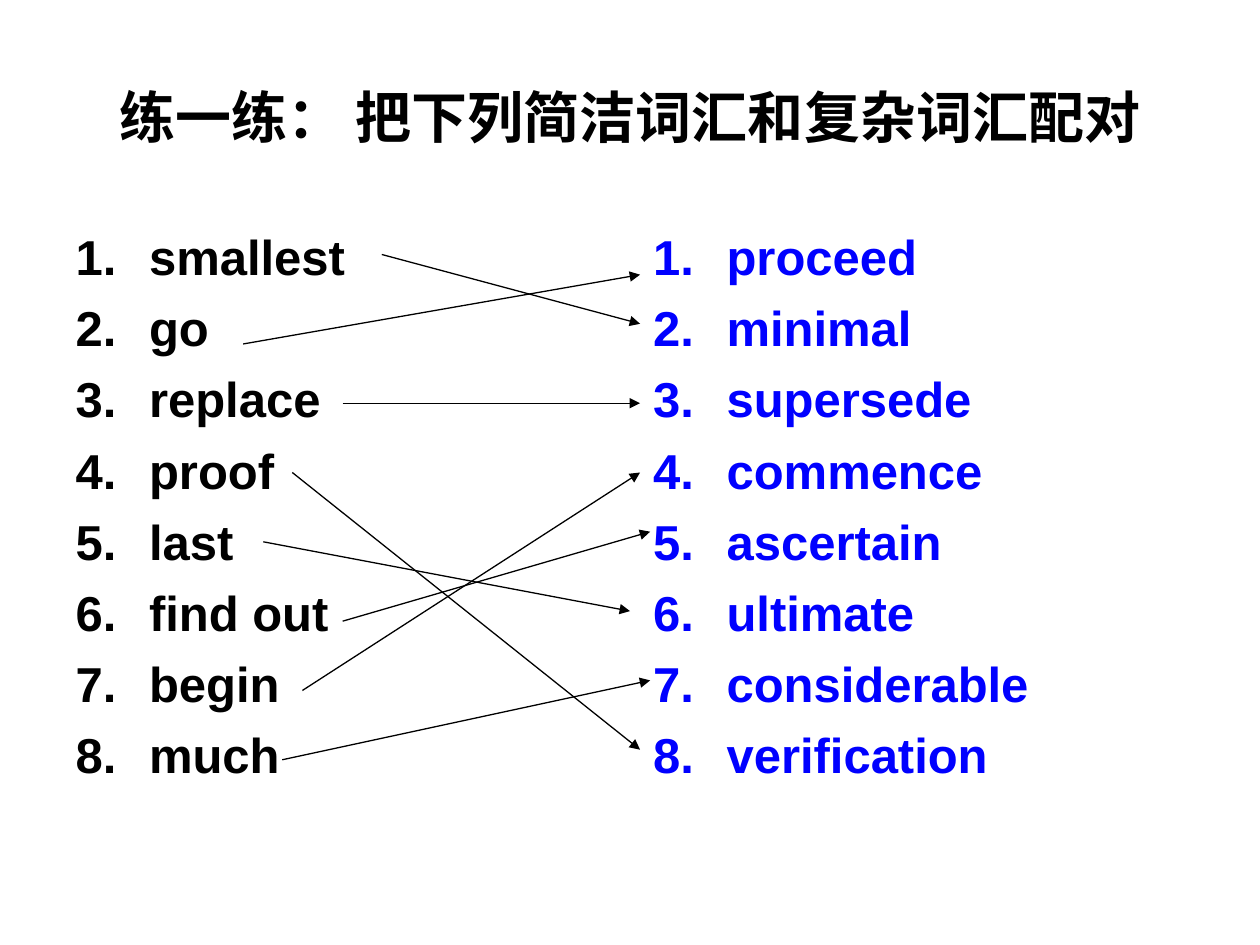
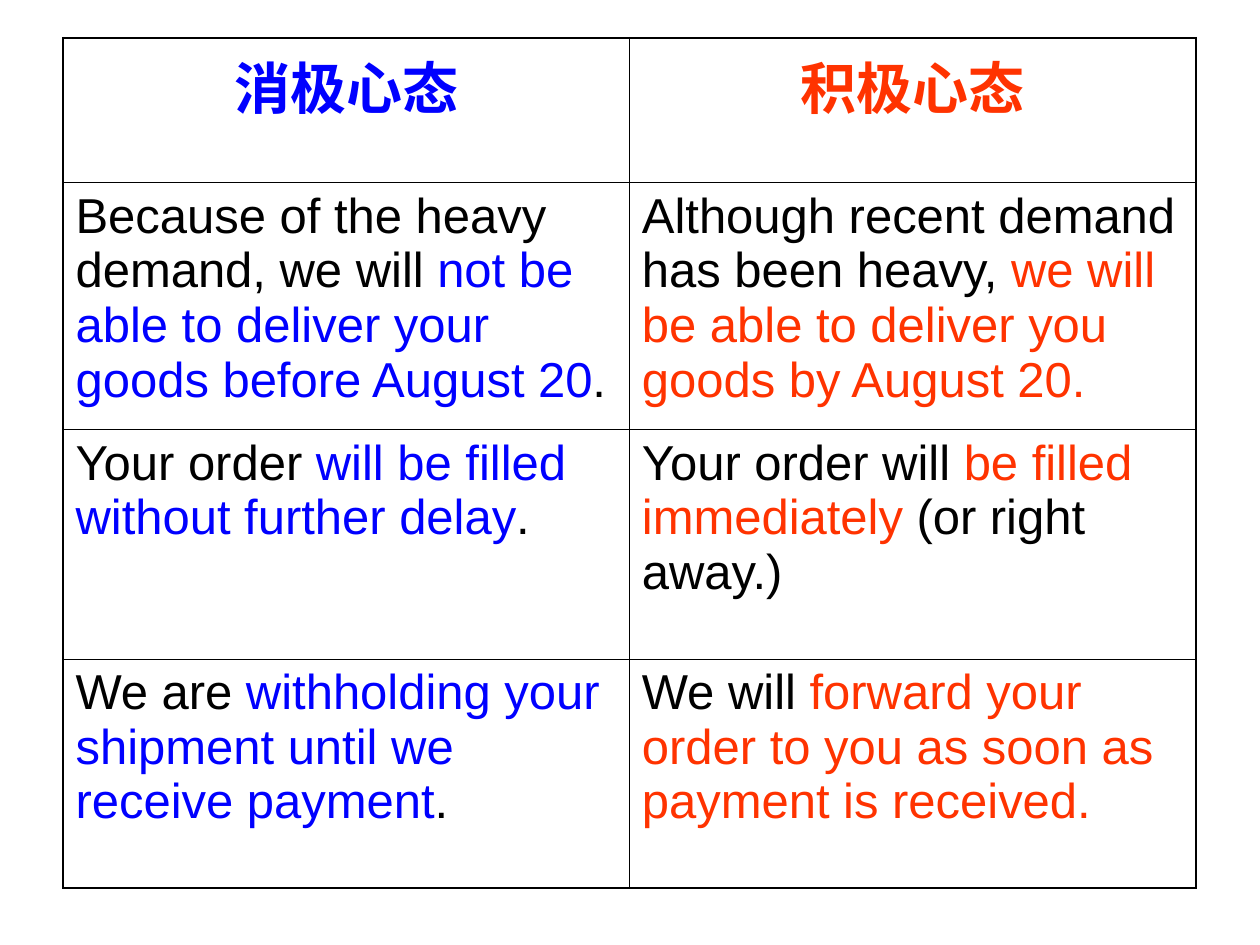
from dataclasses import dataclass

from lxml import etree
from pptx import Presentation
from pptx import util as u
from pptx.dml.color import RGBColor
from pptx.enum import text
from pptx.oxml.ns import qn


@dataclass(frozen=True)
class Theme:
    font: str = "Arial"
    black: RGBColor = RGBColor(0x00, 0x00, 0x00)
    blue: RGBColor = RGBColor(0x00, 0x00, 0xFF)
    red: RGBColor = RGBColor(0xFF, 0x33, 0x00)
    heading_size: int = 32
    text_size: int = 28
    arrow_width: float = 0.75
    inner_border: float = 0.45
    outer_border: float = 1.08


THEME = Theme()
TWO_CONTENT, BLANK = 3, 6
LEFT, TOP = 0.5, 0.3
RIGHT_LIST_LEFT = u.Pt(366).inches

SIMPLE_WORDS = ["smallest", "go", "replace", "proof",
                "last", "find out", "begin", "much"]
COMPLEX_WORDS = ["proceed", "minimal", "supersede", "commence",
                 "ascertain", "ultimate", "considerable", "verification"]

# Start and end of the arrow that leaves each simple word.
MATCHES = [
    ((3.03, 2.02), (5.08, 2.57)),
    ((1.93, 2.73), (5.08, 2.18)),
    ((2.72, 3.2), (5.08, 3.2)),
    ((2.32, 3.75), (5.08, 5.95)),
    ((2.09, 4.3), (5, 4.85)),
    ((2.72, 4.93), (5.16, 4.22)),
    ((2.4, 5.48), (5.08, 3.75)),
    ((2.24, 6.03), (5.16, 5.4)),
]

# Each sentence is (plain opening, highlighted part, plain ending).
HEADINGS = ["消极心态", "积极心态"]
SENTENCE_PAIRS = [
    [("Because of the heavy demand, we will ",
      "not be able to deliver your goods before August 20", "."),
     ("Although recent demand has been heavy, ",
      "we will be able to deliver you goods by August 20.", "")],
    [("Your order ", "will be filled without further delay", "."),
     ("Your order will ", "be filled immediately", " (or right away.)")],
    [("We are ", "withholding your shipment until we receive payment", "."),
     ("We will ", "forward your order to you as soon as payment is received.", "")],
]
ROW_HEIGHTS = [1.15, 1.96, 1.82, 1.82]
TABLE_WIDTH = 8.99


def place(shape, left, top, width, height):
    shape.left, shape.top = u.Inches(left), u.Inches(top)
    shape.width, shape.height = u.Inches(width), u.Inches(height)


def style_font(font, size, color, bold):
    font.name, font.size, font.bold = THEME.font, u.Pt(size), bold
    font.color.rgb = color


def set_title(slide, title):
    shape = slide.shapes.title
    place(shape, LEFT, TOP, 9, 1.25)
    frame = shape.text_frame
    frame.text = title
    frame.auto_size = text.MSO_AUTO_SIZE.NONE
    frame.vertical_anchor = text.MSO_ANCHOR.MIDDLE
    paragraph = frame.paragraphs[0]
    paragraph.alignment = text.PP_ALIGN.CENTER
    style_font(paragraph.font, THEME.heading_size, THEME.black, True)


def number_paragraph(paragraph, color):
    """Give the paragraph an automatic number on a hanging indent."""
    properties = paragraph._p.get_or_add_pPr()
    indent = u.Pt(42)
    properties.set("marL", str(indent))
    properties.set("indent", str(-indent))
    bullet_color = etree.SubElement(properties, qn("a:buClr"))
    etree.SubElement(bullet_color, qn("a:srgbClr"), val=str(color))
    etree.SubElement(properties, qn("a:buFont"), typeface=THEME.font)
    etree.SubElement(properties, qn("a:buAutoNum"), type="arabicPeriod")


def fill_word_list(placeholder, left, words, color):
    place(placeholder, left, 1.75, 4.42, 4.95)
    frame = placeholder.text_frame
    frame.text = "\n".join(words)
    frame.auto_size = text.MSO_AUTO_SIZE.NONE
    for paragraph in frame.paragraphs:
        paragraph.space_before = u.Pt(7)
        number_paragraph(paragraph, color)
        style_font(paragraph.font, THEME.text_size, color, True)


def add_arrow(slide, start, end):
    points = [u.Inches(value) for value in (*start, *end)]
    connector = slide.shapes.add_connector(1, *points)
    connector.line.color.rgb = THEME.black
    connector.line.width = u.Pt(THEME.arrow_width)
    etree.SubElement(connector.line._get_or_add_ln(), qn("a:tailEnd"), type="triangle")
    etree.SubElement(connector._element.spPr, qn("a:effectLst"))


def set_borders(cell, outer_sides):
    """Draw all four borders, heavier on the sides at the table's edge."""
    properties = cell._tc.get_or_add_tcPr()
    for position, side in enumerate("LRTB"):
        width = THEME.outer_border if side in outer_sides else THEME.inner_border
        line = etree.Element(qn(f"a:ln{side}"), w=str(u.Pt(width)))
        fill = etree.SubElement(line, qn("a:solidFill"))
        etree.SubElement(fill, qn("a:srgbClr"), val=str(THEME.black))
        properties.insert(position, line)


def fill_heading(cell, heading, color):
    paragraph = cell.text_frame.paragraphs[0]
    paragraph.alignment = text.PP_ALIGN.CENTER
    paragraph.space_before = u.Pt(8)
    run = paragraph.add_run()
    run.text = heading
    style_font(run.font, THEME.heading_size, color, True)


def fill_sentence(cell, parts, highlight):
    paragraph = cell.text_frame.paragraphs[0]
    paragraph.space_before = u.Pt(7)
    for part, color in zip(parts, (THEME.black, highlight, THEME.black)):
        if part:
            run = paragraph.add_run()
            run.text = part
            style_font(run.font, THEME.text_size, color, False)


def add_attitude_table(slide):
    rows, columns = len(ROW_HEIGHTS), len(HEADINGS)
    table = slide.shapes.add_table(
        rows, columns, u.Inches(LEFT), u.Inches(TOP),
        u.Inches(TABLE_WIDTH), u.Inches(sum(ROW_HEIGHTS))).table
    table.first_row = table.horz_banding = False
    for row, height in zip(table.rows, ROW_HEIGHTS):
        row.height = u.Inches(height)
    for column, color in enumerate((THEME.blue, THEME.red)):
        fill_heading(table.cell(0, column), HEADINGS[column], color)
        for row, sentences in enumerate(SENTENCE_PAIRS, start=1):
            fill_sentence(table.cell(row, column), sentences[column], color)
        for row in range(rows):
            cell = table.cell(row, column)
            cell.fill.background()
            edges = {"L": column == 0, "R": column == columns - 1,
                     "T": row == 0, "B": row == rows - 1}
            set_borders(cell, [side for side, outer in edges.items() if outer])


def build_matching_slide(presentation):
    slide = presentation.slides.add_slide(presentation.slide_layouts[TWO_CONTENT])
    set_title(slide, "练一练： 把下列简洁词汇和复杂词汇配对")
    fill_word_list(slide.placeholders[1], LEFT, SIMPLE_WORDS, THEME.black)
    fill_word_list(slide.placeholders[2], RIGHT_LIST_LEFT, COMPLEX_WORDS, THEME.blue)
    for start, end in MATCHES:
        add_arrow(slide, start, end)


def build_attitude_slide(presentation):
    slide = presentation.slides.add_slide(presentation.slide_layouts[BLANK])
    add_attitude_table(slide)


def main():
    presentation = Presentation()
    presentation.slide_width, presentation.slide_height = u.Inches(10), u.Inches(7.5)
    build_matching_slide(presentation)
    build_attitude_slide(presentation)
    presentation.save("out.pptx")


if __name__ == "__main__":
    main()
